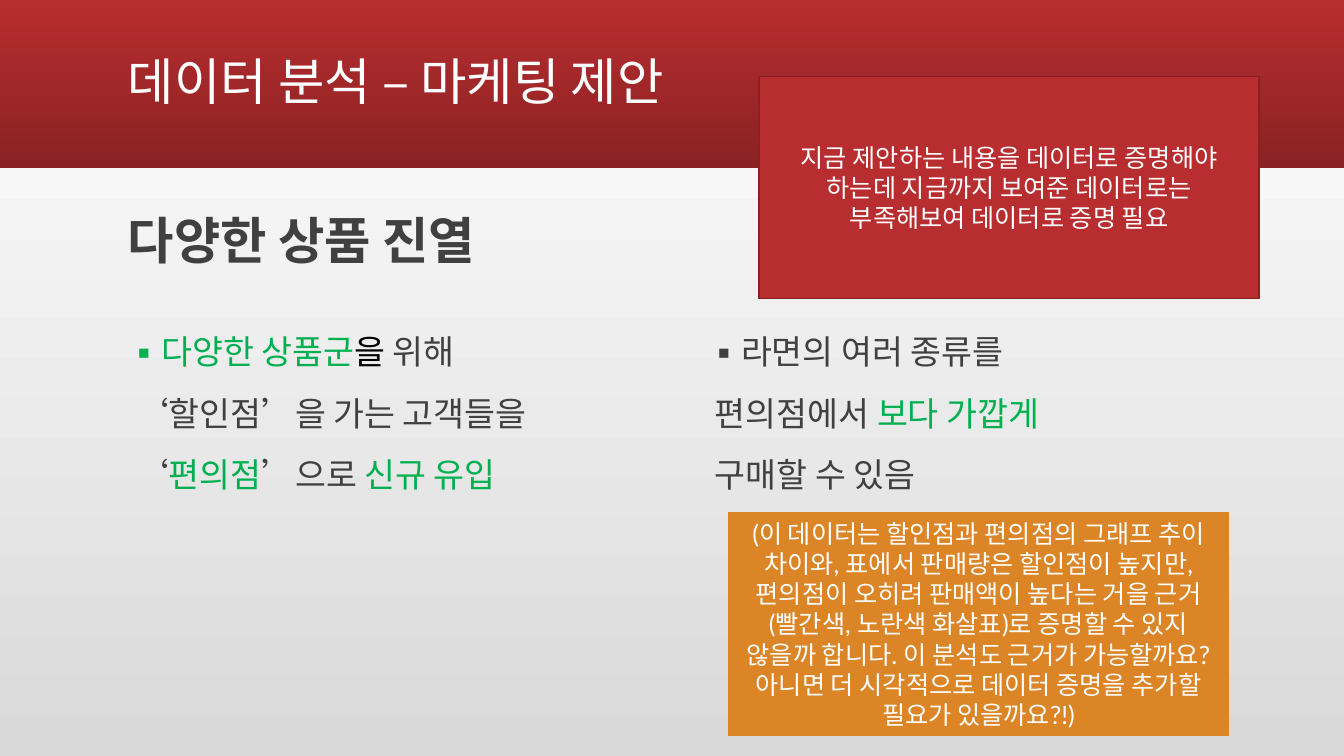
from pptx import Presentation
from pptx.dml.color import RGBColor
from pptx.enum.shapes import MSO_SHAPE
from pptx.enum.text import MSO_ANCHOR, PP_ALIGN
from pptx.oxml.ns import qn
from pptx.util import Cm, Pt
from lxml import etree

RECT = MSO_SHAPE.RECTANGLE
TOP, MIDDLE = MSO_ANCHOR.TOP, MSO_ANCHOR.MIDDLE
CENTER = PP_ALIGN.CENTER

WHITE = RGBColor(0xFF, 0xFF, 0xFF)
BLACK = RGBColor(0, 0, 0)
GRAY = RGBColor(0xD9, 0xD9, 0xD9)
DARK = RGBColor(0x40, 0x40, 0x40)
GREEN = RGBColor(0, 0xB0, 0x50)
RED = RGBColor(0xB8, 0x2D, 0x2F)
DEEP_RED = RGBColor(0x8A, 0x22, 0x23)
EDGE_RED = RGBColor(0x88, 0x21, 0x23)
ORANGE = RGBColor(0xDB, 0x85, 0x26)

WIDTH, HEIGHT = 33.87, 19.05
LEFT, RIGHT, COLUMN = 2.97, 17.58, 13.34


class Deck:
    korean = "Noto Sans CJK KR"
    latin = "Lato"

    def __init__(self):
        self.prs = Presentation()
        self.prs.slide_width, self.prs.slide_height = Cm(WIDTH), Cm(HEIGHT)
        self.slide = self.prs.slides.add_slide(self.prs.slide_layouts[6])

    def gradient(self, fill, start, end, angle):
        fill.gradient()
        fill.gradient_angle = angle
        for stop, color in zip(fill.gradient_stops, (start, end)):
            stop.color.rgb = color

    def background(self, start, end):
        self.gradient(self.slide.background.fill, start, end, 90)

    def rect(self, x, y, w, h):
        sp = self.slide.shapes.add_shape(RECT, Cm(x), Cm(y), Cm(w), Cm(h))
        sp.shadow.inherit = False
        return sp

    def band(self, h, start, end):
        sp = self.rect(0, 0, WIDTH, h)
        self.gradient(sp.fill, start, end, 270)
        sp.line.fill.background()

    def run(self, p, text, size, color, font, bold=False):
        r = p.add_run()
        r.text = text
        r.font.name = font
        r.font.size = Pt(size)
        r.font.bold = bold
        r.font.color.rgb = color
        ea = etree.Element(qn("a:ea"), typeface=self.korean)
        r.font._element.find(qn("a:latin")).addnext(ea)

    def bullet(self, p):
        pPr = p._p.get_or_add_pPr()
        pPr.set("marL", str(Cm(0.64)))
        pPr.set("indent", str(-Cm(0.64)))
        etree.SubElement(pPr, qn("a:buFont"), typeface=self.korean)
        etree.SubElement(pPr, qn("a:buChar"), char="▪")

    def text(self, x, y, w, h, lines, size, anchor=TOP, before=18,
             bold=False, bulleted=False):
        sp = self.slide.shapes.add_textbox(Cm(x), Cm(y), Cm(w), Cm(h))
        tf = sp.text_frame
        tf.word_wrap = True
        tf.vertical_anchor = anchor
        for i, line in enumerate(lines):
            p = tf.add_paragraph() if i else tf.paragraphs[0]
            p.line_spacing = 0.9
            p.space_before = Pt(before)
            if bulleted and i == 0:
                self.bullet(p)
            for text, color in line:
                self.run(p, text, size, color, self.korean, bold)

    def note(self, x, y, fill, edge, text):
        sp = self.rect(x, y, 12.6, 5.6)
        sp.fill.solid()
        sp.fill.fore_color.rgb = fill
        sp.line.color.rgb = edge
        sp.line.width = Pt(1)
        tf = sp.text_frame
        tf.word_wrap = True
        tf.vertical_anchor = MIDDLE
        p = tf.paragraphs[0]
        p.alignment = CENTER
        self.run(p, text, 18, WHITE, self.latin)


def main():
    deck = Deck()
    deck.background(GRAY, WHITE)
    deck.band(4.24, RED, DEEP_RED)
    deck.text(LEFT, 0.28, 27.94, 3.68, [[("데이터 분석 – 마케팅 제안", WHITE)]],
              36, MIDDLE, before=0)
    deck.text(LEFT, 5.08, COLUMN, 2.11, [[("다양한 상품 진열", DARK)]],
              36, MIDDLE, bold=True)
    columns = [
        (LEFT, [
            [("다양한 상품군", GREEN), ("을 ", BLACK), ("위해", DARK)],
            [(" ‘할인점’을 가는 고객들을", DARK)],
            [(" ‘", DARK), ("편의점", GREEN), ("’으로 ", DARK),
             ("신규 유입", GREEN)],
        ]),
        (RIGHT, [
            [("라면의 여러 종류를", DARK)],
            [(" 편의점에서 ", DARK), ("보다 가깝게", GREEN)],
            [(" 구매할 수 있음", DARK)],
        ]),
    ]
    for x, lines in columns:
        deck.text(x, 8.33, COLUMN, 10.59, lines, 24, bulleted=True)
    deck.note(19.13, 1.93, RED, EDGE_RED,
              "지금 제안하는 내용을 데이터로 증명해야 하는데 지금까지 보여준 "
              "데이터로는 부족해보여 데이터로 증명 필요")
    deck.note(18.36, 12.92, ORANGE, ORANGE,
              "(이 데이터는 할인점과 편의점의 그래프 추이 차이와, 표에서 판매량은 "
              "할인점이 높지만, 편의점이 오히려 판매액이 높다는 거을 근거(빨간색, "
              "노란색 화살표)로 증명할 수 있지 않을까 합니다. 이 분석도 근거가 "
              "가능할까요? 아니면 더 시각적으로 데이터 증명을 추가할 필요가 "
              "있을까요?!)")
    deck.prs.save("out.pptx")


if __name__ == "__main__":
    main()
